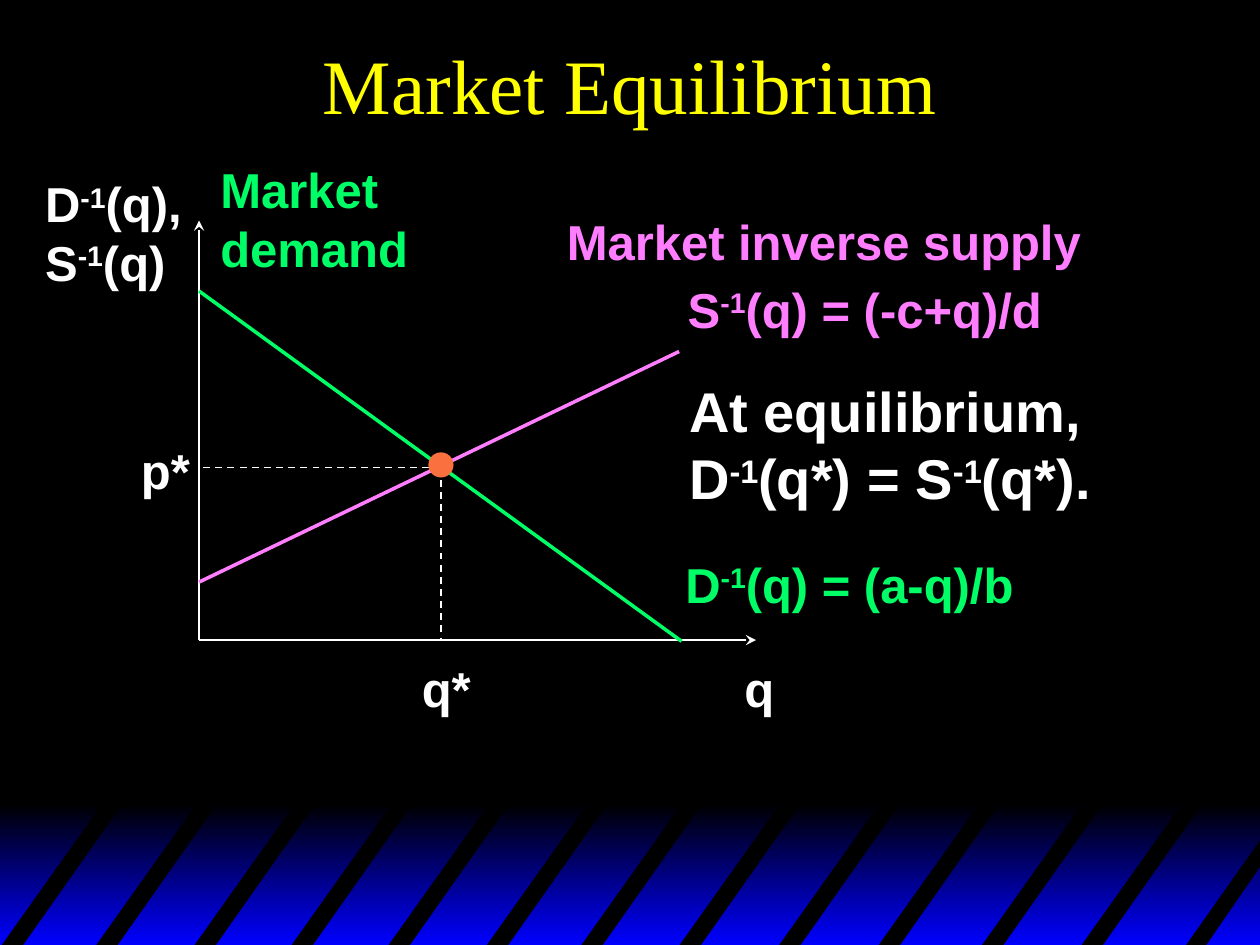
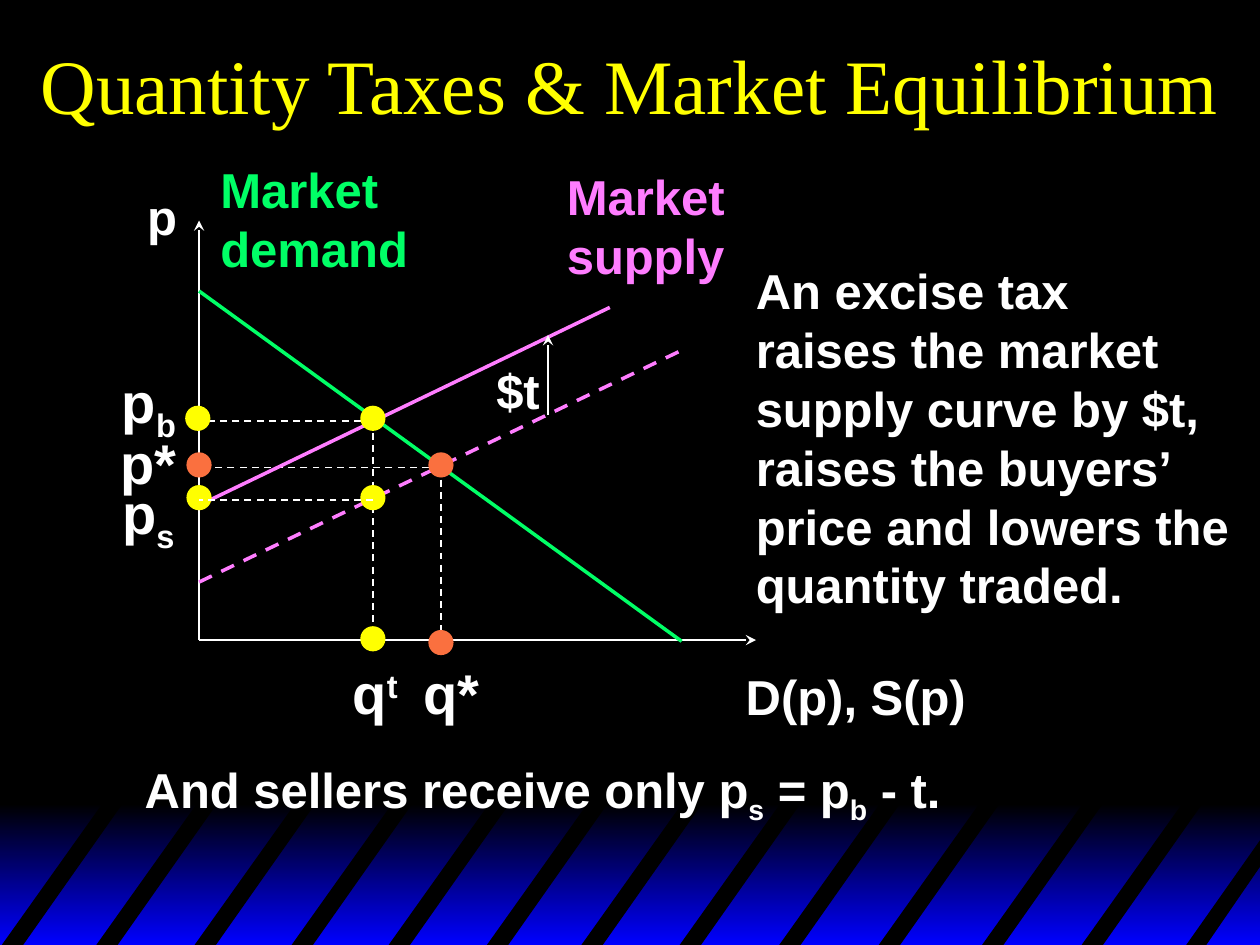
from dataclasses import dataclass
from typing import Any

from lxml.etree import SubElement
from pptx import Presentation
from pptx.dml.color import RGBColor
from pptx.enum.dml import MSO_LINE
from pptx.enum.shapes import MSO_CONNECTOR, MSO_SHAPE
from pptx.enum.text import MSO_ANCHOR, MSO_AUTO_SIZE, PP_ALIGN
from pptx.oxml.ns import qn
from pptx.util import Inches, Pt

BLACK, WHITE, BLUE, YELLOW = "000000", "FFFFFF", "0000FF", "FFFF00"
GREEN, PINK, ORANGE = "00FF66", "FF7DFF", "FA703F"
BASELINES = {"^": "30000", "_": "-25000"}
STRIPE_LEFTS = (0, 0.75, 1.53, 2.3, 3.07, 3.85, 4.6, 5.38, 6.17, 6.96, 7.78, 8.57)
DOT_SIZE = 0.2
AXIS_HEIGHT, AXIS_WIDTH = 3.33, 4.42
EQUILIBRIUM = (1.92, 1.96)
TAXED_QUANTITY, BUYER_PRICE, SELLER_PRICE = 1.38, 1.59, 2.22


@dataclass
class Box:
    """A region of a page, with the offset of its top left corner."""

    page: Any
    left: float
    top: float

    def at(self, x, y):
        """Turn a point inside the region into a point on the page."""
        return Inches(self.left + x), Inches(self.top + y)


def color(code):
    """Read a hex colour."""
    return RGBColor.from_string(code)


def paint(shape, code):
    """Fill a shape with one colour and drop its outline and shadow."""
    shape.fill.solid()
    shape.fill.fore_color.rgb = color(code)
    shape.line.fill.background()
    shape.shadow.inherit = False


def write(frame, text, size=28, ink=WHITE, font="Arial", bold=True, align=None):
    """Write text; \\n parts paragraphs, \\v lines, |^ raises and |_ lowers a span."""
    for number, passage in enumerate(text.split("\n")):
        para = frame.add_paragraph() if number else frame.paragraphs[0]
        para.alignment = align
        for row, line in enumerate(passage.split("\v")):
            if row:
                para.add_line_break()
            for piece in line.split("|"):
                baseline = BASELINES.get(piece[0])
                span = para.add_run()
                span.text = piece[1:] if baseline else piece
                span.font.size = Pt(size)
                span.font.name = font
                span.font.bold = bold
                span.font.color.rgb = color(ink)
                if baseline:
                    span._r.get_or_add_rPr().set("baseline", baseline)


def label(box, text, left, top, width, height=0.57, **style):
    """Place a text box that does not wrap."""
    note = box.page.shapes.add_textbox(*box.at(left, top), Inches(width), Inches(height))
    note.text_frame.word_wrap = False
    note.text_frame.auto_size = MSO_AUTO_SIZE.SHAPE_TO_FIT_TEXT
    write(note.text_frame, text, **style)


def line(box, start, end, ink=WHITE, weight=1, dashed=False, arrow=False):
    """Draw a straight line, dashed or with an arrowhead at its end if asked."""
    connector = box.page.shapes.add_connector(
        MSO_CONNECTOR.STRAIGHT, *box.at(*start), *box.at(*end))
    connector.line.color.rgb = color(ink)
    connector.line.width = Pt(weight)
    if dashed:
        connector.line.dash_style = MSO_LINE.DASH
    if arrow:
        SubElement(connector.get_or_add_ln(), qn("a:tailEnd"), type="stealth")
    SubElement(connector.element.spPr, qn("a:effectLst"))


def dot(box, x, y, ink):
    """Mark a point, with the dot raised a little above its guide line."""
    corner = box.at(x - DOT_SIZE / 2, y - 0.02 - DOT_SIZE / 2)
    paint(box.page.shapes.add_shape(
        MSO_SHAPE.OVAL, *corner, Inches(DOT_SIZE), Inches(DOT_SIZE)), ink)


def guides(box, quantity, price):
    """Draw dashed lines from a point to both axes."""
    line(box, (quantity, price), (quantity, AXIS_HEIGHT), dashed=True)
    line(box, (quantity, price), (0, price), dashed=True)


def stripe(box, shapes, points):
    """Draw one slanted black stripe of the band."""
    corners = [box.at(*point) for point in points]
    builder = shapes.build_freeform(*corners[0])
    builder.add_line_segments(corners[1:], close=True)
    paint(builder.convert_to_shape(), BLACK)


def band(box):
    """Draw the striped band at the foot and return its group."""
    group = box.page.shapes.add_group_shape()
    base = group.shapes.add_shape(
        MSO_SHAPE.RECTANGLE, *box.at(0, 0.04), Inches(10.02), Inches(1.12))
    paint(base, BLACK)
    base.fill.gradient()
    base.fill.gradient_angle = 270
    for stop, (position, code) in zip(base.fill.gradient_stops, ((0, BLACK), (1, BLUE))):
        stop.position = position
        stop.color.rgb = color(code)
    for left in STRIPE_LEFTS:
        stripe(box, group.shapes, ((left, 1.18), (left + 0.84, 0),
                                   (left + 1, 0), (left + 0.17, 1.18)))
    stripe(box, group.shapes, ((9.4, 1.18), (10.02, 0.3), (10.02, 0.51), (9.56, 1.18)))
    return group


def style_master(master, page):
    """Give the master its background, title place and band."""
    master.background.fill.solid()
    master.background.fill.fore_color.rgb = color(BLACK)
    title = master.placeholders[0]
    title.left, title.top, title.width, title.height = map(Inches, (0, 0, 10, 1.33))
    master.shapes.element.insert(2, band(Box(page, 0, 6.34)).element)


def set_title(page, text):
    """Fill the title placeholder."""
    frame = page.shapes.title.text_frame
    frame.vertical_anchor = MSO_ANCHOR.MIDDLE
    frame.auto_size = MSO_AUTO_SIZE.NONE
    write(frame, text, size=44, ink=YELLOW, font="Times New Roman",
          bold=False, align=PP_ALIGN.CENTER)


def market_graph(box, supply_dashed=False):
    """Draw the axes, both market curves and their crossing."""
    origin = (0, AXIS_HEIGHT)
    line(box, origin, (0, 0), arrow=True)
    line(box, origin, (AXIS_WIDTH, AXIS_HEIGHT), arrow=True)
    guides(box, *EQUILIBRIUM)
    line(box, (0, 2.87), (3.81, 1.04), ink=PINK, weight=2, dashed=supply_dashed)
    line(box, (0, 0.56), (3.83, 3.34), ink=GREEN, weight=2)
    dot(box, *EQUILIBRIUM, ORANGE)
    label(box, "Market\vdemand", 0.07, -0.53, 1.69, 1.04, ink=GREEN)


def tax_graph(box):
    """Add the raised supply curve and the taxed prices to the market graph."""
    market_graph(box, supply_dashed=True)
    quantity, price = EQUILIBRIUM
    dot(box, 0, price, ORANGE)
    dot(box, quantity, AXIS_HEIGHT + 0.04, ORANGE)
    line(box, (0, 2.26), (3.26, 0.69), ink=PINK, weight=2)
    line(box, (2.77, 1.54), (2.77, 0.91), arrow=True)
    guides(box, TAXED_QUANTITY, BUYER_PRICE)
    for x, y in ((TAXED_QUANTITY, BUYER_PRICE), (TAXED_QUANTITY, AXIS_HEIGHT + 0.01),
                 (-0.01, BUYER_PRICE), (0, SELLER_PRICE), (TAXED_QUANTITY, SELLER_PRICE)):
        dot(box, x, y, YELLOW)
    line(box, (TAXED_QUANTITY, SELLER_PRICE), (0, SELLER_PRICE), dashed=True)


def equilibrium_labels(box):
    """Label the axes, the curves and the condition of equilibrium."""
    label(box, "q", 4.23, 3.43, 0.44)
    label(box, "D|^-1|(q),\vS|^-1|(q)", -1.32, -0.42, 1.29, 1.04)
    label(box, "D|^-1|(q) = (a-q)/b", 3.76, 2.6, 2.81, ink=GREEN)
    label(box, "Market inverse supply", 2.82, -0.12, 4.28, ink=PINK)
    label(box, "S|^-1|(q) = (-c+q)/d", 3.78, 0.42, 3.01, ink=PINK)
    label(box, "p*", -0.56, 1.7, 0.59)
    label(box, "q*", 1.67, 3.43, 0.59)
    label(box, "At equilibrium,\vD|^-1|(q*) = S|^-1|(q*).", 3.79, 1.19, 3.39, 1.17, size=32)


def tax_labels(box):
    """Label the taxed market and explain the tax."""
    label(box, "p", -0.51, -0.32, 0.44)
    label(box, "D(p), S(p)", 4.24, 3.49, 1.95)
    label(box, "Market\vsupply", 2.82, -0.48, 1.45, 1.04, ink=PINK)
    label(box, "$t", 2.26, 1.06, 0.55)
    label(box, "p|_b", -0.71, 1.12, 0.63, 0.71, size=32)
    label(box, "p*", -0.72, 1.6, 0.65, 0.63, size=32)
    label(box, "p|_s", -0.71, 2, 0.62, 0.71, size=32)
    label(box, "q|^t", 1.12, 3.43, 0.56, 0.63, size=32)
    label(box, "q*", 1.68, 3.43, 0.65, 0.63, size=32)
    label(box, "An excise tax\nraises the market\vsupply curve by $t,\vraises the buyers’\v"
          "price and lowers the\vquantity traded.", 4.32, 0.27, 3.96, 2.9)
    label(box, "And sellers receive only p|_s| = p|_b| - t.", -0.53, 4.23, 6.52, 0.63)


def main():
    """Build both slides and save the deck."""
    deck = Presentation()
    deck.slide_width, deck.slide_height = Inches(10), Inches(7.5)
    slides = (
        ("Market Equilibrium", market_graph, equilibrium_labels),
        ("Quantity Taxes & Market Equilibrium", tax_graph, tax_labels),
    )
    for number, (title, draw_graph, draw_labels) in enumerate(slides):
        page = deck.slides.add_slide(deck.slide_layouts[5])
        if number == 0:
            style_master(deck.slide_master, page)
        set_title(page, title)
        box = Box(page, 1.58, 1.75)
        draw_graph(box)
        draw_labels(box)
    deck.save("out.pptx")


if __name__ == "__main__":
    main()
